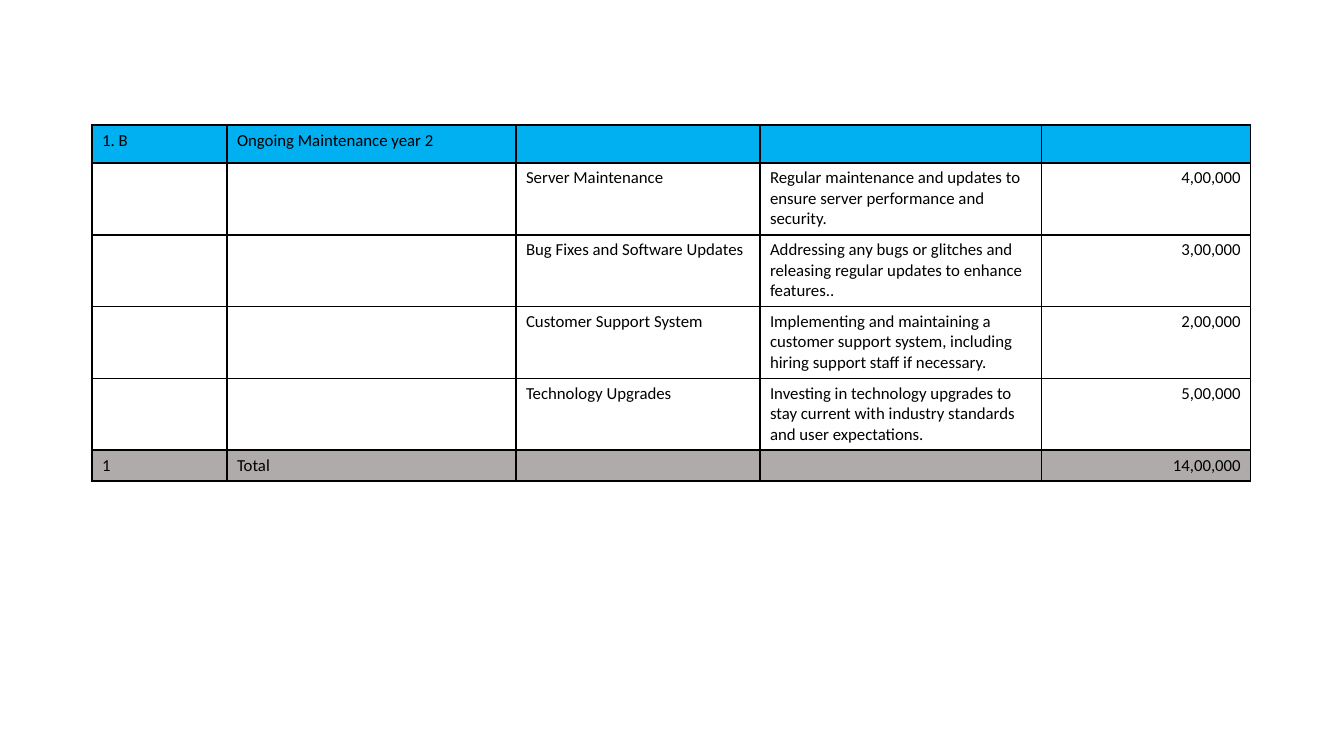
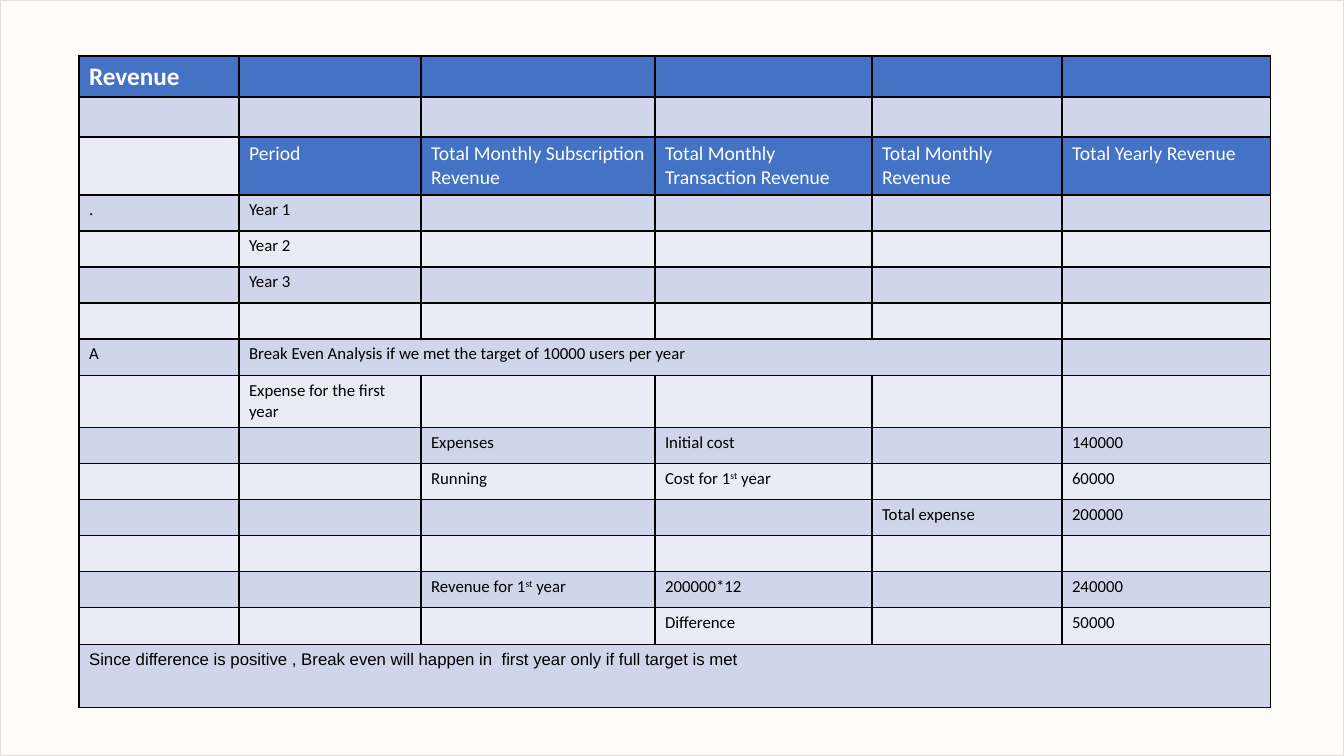
from lxml import etree
from pptx import Presentation
from pptx import util as u
from pptx.dml.color import RGBColor
from pptx.enum import shapes, text
from pptx.oxml.ns import qn


class Theme:
    font, note_font = "Calibri", "Arial"
    title, heading, body = 18, 14, 12
    black, white = "000000", "FFFFFF"
    cyan, grey = "00B0F0", "AFABAB"
    blue, band_dark, band_light = "4472C4", "CFD5EA", "E9EBF5"
    page, page_edge = "FFFCFA", "E5E0DF"
    border, page_border = 1, 1.09


SLIDE_W, SLIDE_H = 1344, 756

MAINTENANCE = [
    ["1. B", "Ongoing Maintenance year 2", "", "", ""],
    ["", "", "Server Maintenance",
     "Regular maintenance and updates to ensure server performance and security.", "4,00,000"],
    ["", "", "Bug Fixes and Software Updates",
     "Addressing any bugs or glitches and releasing regular updates to enhance features..",
     "3,00,000"],
    ["", "", "Customer Support System",
     "Implementing and maintaining a customer support system, including hiring support staff"
     " if necessary.", "2,00,000"],
    ["", "", "Technology Upgrades",
     "Investing in technology upgrades to stay current with industry standards and user"
     " expectations.", "5,00,000"],
    ["1", "Total", "", "", "14,00,000"],
]
MAINTENANCE_COLS = [135, 289, 244, 282, 209]
MAINTENANCE_ROWS = [38, 72, 71, 72, 71, 31]

# A tuple alternates normal and superscript text.
REVENUE = [
    ["Revenue", "", "", "", "", ""],
    ["", "", "", "", "", ""],
    ["", "Period", "Total Monthly Subscription Revenue", "Total Monthly Transaction Revenue",
     "Total Monthly Revenue", "Total Yearly Revenue"],
    [".", "Year 1", "", "", "", ""],
    ["", "Year 2", "", "", "", ""],
    ["", "Year 3", "", "", "", ""],
    ["", "", "", "", "", ""],
    ["A", "Break Even Analysis if we met the target of 10000 users per year", "", "", "", ""],
    ["", "Expense for the first year", "", "", "", ""],
    ["", "", "Expenses", "Initial cost", "", "140000"],
    ["", "", "Running", ("Cost for 1", "st", " year"), "", "60000"],
    ["", "", "", "", "Total expense", "200000"],
    ["", "", "", "", "", ""],
    ["", "", ("Revenue for 1", "st", " year"), "200000*12", "", "240000"],
    ["", "", "", "Difference", "", "50000"],
    ["Since difference is positive , Break even will happen in  first year only if full target"
     " is met", "", "", "", "", ""],
]
REVENUE_COLS = [160, 182, 234, 217, 190, 209]
REVENUE_ROWS = [41, 40, 58] + [36] * 4 + [37, 52] + [36] * 5 + [37, 63]
REVENUE_MERGES = [(7, 1, 4), (15, 0, 5)]  # row, first column, last column


def px(n):
    return u.Emu(round(n * 914400 / 100.8))


def rgb(value):
    return RGBColor.from_string(value)


def maintenance_style(row, col):
    fills = {0: Theme.cyan, len(MAINTENANCE) - 1: Theme.grey}
    return {"fill": fills.get(row), "right": col == len(MAINTENANCE_COLS) - 1}


def revenue_style(row, col):
    if row == 0:
        return {"fill": Theme.blue, "color": Theme.white, "size": Theme.title, "bold": True}
    if row == 2 and col > 0:
        return {"fill": Theme.blue, "color": Theme.white, "size": Theme.heading}
    last = row == len(REVENUE) - 1
    return {"fill": Theme.band_dark if row % 2 else Theme.band_light,
            "font": Theme.note_font if last else Theme.font}


def add_borders(cell):
    tc_pr = cell._tc.get_or_add_tcPr()
    for side in ("lnL", "lnR", "lnT", "lnB"):
        ln = etree.SubElement(tc_pr, qn(f"a:{side}"), w=str(u.Pt(Theme.border)))
        fill = etree.SubElement(ln, qn("a:solidFill"))
        etree.SubElement(fill, qn("a:srgbClr"), val=Theme.black)


def fill_cell(cell, content, fill=None, color=Theme.black, size=Theme.body,
              bold=False, font=Theme.font, right=False):
    add_borders(cell)
    if fill:
        cell.fill.solid()
        cell.fill.fore_color.rgb = rgb(fill)
    else:
        cell.fill.background()
    p = cell.text_frame.paragraphs[0]
    p.alignment = text.PP_ALIGN.RIGHT if right else text.PP_ALIGN.LEFT
    p.font.name, p.font.size, p.font.bold = font, u.Pt(size), bold
    p.font.color.rgb = rgb(color)
    if not content:  # keeps an empty row from growing to the default size
        etree.SubElement(p._p, qn("a:endParaRPr"), sz=str(size * 100))
        return
    for i, part in enumerate(content if isinstance(content, tuple) else (content,)):
        r = p.add_run()
        r.text = part
        if i % 2:
            r._r.get_or_add_rPr().set("baseline", "30000")


def add_grid(slide, left, top, data, cols, rows, style, merges=()):
    table = slide.shapes.add_table(len(rows), len(cols), px(left), px(top),
                                   px(sum(cols)), px(sum(rows))).table
    table.first_row = table.horz_banding = False
    for column, width in zip(table.columns, cols):
        column.width = px(width)
    for row, height in zip(table.rows, rows):
        row.height = px(height)
    for row, first, last in merges:
        table.cell(row, first).merge(table.cell(row, last))
    for i, line in enumerate(data):
        for j, content in enumerate(line):
            fill_cell(table.cell(i, j), content, **style(i, j))


def add_page(slide):
    sp = slide.shapes.add_shape(shapes.MSO_SHAPE.RECTANGLE, 0, 0, px(SLIDE_W), px(SLIDE_H))
    sp.shadow.inherit = False
    sp.fill.solid()
    sp.fill.fore_color.rgb = rgb(Theme.page)
    sp.line.color.rgb = rgb(Theme.page_edge)
    sp.line.width = u.Pt(Theme.page_border)


def main():
    prs = Presentation()
    prs.slide_width, prs.slide_height = px(SLIDE_W), px(SLIDE_H)
    blank = prs.slide_layouts[6]

    add_grid(prs.slides.add_slide(blank), 92, 125, MAINTENANCE, MAINTENANCE_COLS,
             MAINTENANCE_ROWS, maintenance_style)

    slide = prs.slides.add_slide(blank)
    add_page(slide)
    add_grid(slide, 79, 56, REVENUE, REVENUE_COLS, REVENUE_ROWS, revenue_style, REVENUE_MERGES)
    prs.save("out.pptx")


if __name__ == "__main__":
    main()
